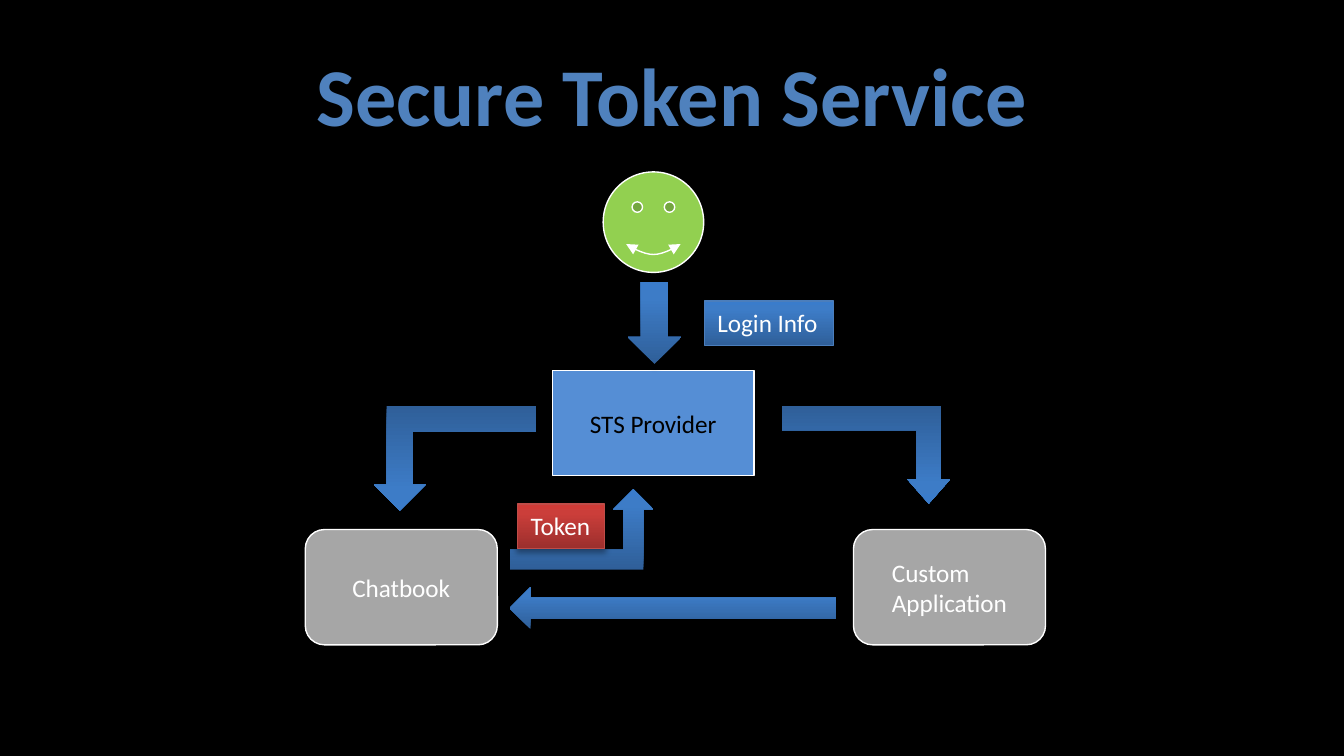
from dataclasses import dataclass

from pptx import Presentation
from pptx.dml.color import RGBColor
from pptx.enum.shapes import MSO_SHAPE
from pptx.enum.text import MSO_ANCHOR, MSO_AUTO_SIZE, PP_ALIGN
from pptx.oxml import parse_xml
from pptx.oxml.ns import nsdecls, qn
from pptx.util import Cm, Pt


@dataclass(frozen=True)
class Theme:
    font: str = "Calibri"
    title_size: float = 44
    body_size: float = 13.5
    line_width: float = 0.75
    background: str = "000000"
    title: str = "4F81BD"
    light: str = "FFFFFF"
    dark: str = "000000"
    user: str = "92D050"
    provider: str = "558ED5"
    app: str = "A6A6A6"
    blue_edge: str = "4B7EBC"
    red_edge: str = "BF4C48"
    # Gradient colours at 0, 80 and 100 percent, running upwards
    blue: tuple = ("2F5F99", "3D7CC7", "3A7CCB")
    red: tuple = ("9C2F2D", "CB3E3A", "CE3B37")


class Diagram:
    def __init__(self, slide, theme):
        self.s = slide
        self.theme = theme
        fill = slide.background.fill
        fill.solid()
        fill.fore_color.rgb = RGBColor.from_string(theme.background)

    def shape(self, kind, box, line=None):
        sp = self.s.shapes.add_shape(kind, *map(Cm, box))
        sp.shadow.inherit = False
        if line:
            sp.line.color.rgb = RGBColor.from_string(line)
            sp.line.width = Pt(self.theme.line_width)
        else:
            sp.line.fill.background()
        return sp

    def flat(self, kind, box, color):
        sp = self.shape(kind, box, self.theme.light)
        sp.fill.solid()
        sp.fill.fore_color.rgb = RGBColor.from_string(color)
        return sp

    def glossy(self, kind, box, colors, line=None):
        sp = self.shape(kind, box, line)
        sp.fill.gradient()
        sp.fill.gradient_angle = 90
        stops = sp.element.spPr.find(qn("a:gradFill")).find(qn("a:gsLst"))
        for stop in list(stops):
            stops.remove(stop)
        for percent, color in zip((0, 80, 100), colors):
            stops.append(parse_xml(
                f'<a:gs {nsdecls("a")} pos="{percent * 1000}">'
                f'<a:srgbClr val="{color}"/></a:gs>'))
        sp.element.spPr.find(qn("a:effectLst")).append(parse_xml(
            f'<a:outerShdw {nsdecls("a")} blurRad="{Pt(3.1)}" dist="{Pt(1.8)}"'
            ' dir="5400000" rotWithShape="0"><a:srgbClr val="000000">'
            '<a:alpha val="35000"/></a:srgbClr></a:outerShdw>'))
        return sp

    def text(self, sp, text, color, size, bold=False, align=PP_ALIGN.LEFT):
        p = sp.text_frame.paragraphs[0]
        p.alignment = align
        r = p.add_run()
        r.text = text
        r.font.name = self.theme.font
        r.font.size = Pt(size)
        r.font.bold = bold
        r.font.color.rgb = RGBColor.from_string(color)

    def title(self, text, box):
        sp = self.s.shapes.add_textbox(*map(Cm, box))
        tf = sp.text_frame
        tf.word_wrap = True
        tf.vertical_anchor = MSO_ANCHOR.MIDDLE
        self.text(sp, text, self.theme.title, self.theme.title_size, True,
                  PP_ALIGN.CENTER)

    def user(self, box):
        sp = self.flat(MSO_SHAPE.SMILEY_FACE, box, self.theme.user)
        ln = sp.element.spPr.find(qn("a:ln"))
        for end in ("headEnd", "tailEnd"):
            ln.append(parse_xml(f'<a:{end} {nsdecls("a")} type="triangle"/>'))

    def node(self, kind, text, box, fill, color):
        sp = self.flat(kind, box, fill)
        tf = sp.text_frame
        tf.word_wrap = True
        tf.vertical_anchor = MSO_ANCHOR.MIDDLE
        tf.margin_left = tf.margin_right = Cm(0.19)
        tf.margin_top = tf.margin_bottom = Cm(0.1)
        # Centre the block while its lines stay left-aligned
        sp.element.txBody.bodyPr.set("anchorCtr", "1")
        self.text(sp, text, color, self.theme.body_size)

    def label(self, text, box, colors, edge):
        sp = self.glossy(MSO_SHAPE.RECTANGLE, box, colors, edge)
        tf = sp.text_frame
        tf.word_wrap = False
        tf.auto_size = MSO_AUTO_SIZE.SHAPE_TO_FIT_TEXT
        tf.vertical_anchor = MSO_ANCHOR.TOP
        self.text(sp, text, self.theme.light, self.theme.body_size)

    def arrow(self, kind, box, rotation=0, flip=False, adjust=()):
        sp = self.glossy(kind, box, self.theme.blue)
        sp.rotation = rotation
        if flip:
            sp.element.spPr.find(qn("a:xfrm")).set("flipH", "1")
        for i, value in enumerate(adjust):
            sp.adjustments[i] = value


def main():
    prs = Presentation()
    prs.slide_width, prs.slide_height = Cm(25.4), Cm(14.29)
    theme = Theme()
    d = Diagram(prs.slides.add_slide(prs.slide_layouts[6]), theme)

    # User, provider and the two applications
    d.user((11.4, 3.25, 1.9, 1.9))
    d.node(MSO_SHAPE.RECTANGLE, "STS Provider", (10.44, 7.01, 3.81, 1.98),
           theme.provider, theme.dark)
    for text, left in (("Chatbook", 5.77), ("Custom Application", 16.13)):
        d.node(MSO_SHAPE.ROUNDED_RECTANGLE, text, (left, 10.01, 3.63, 2.18),
               theme.app, theme.light)

    # Login step
    d.arrow(MSO_SHAPE.DOWN_ARROW, (11.86, 5.33, 1.02, 1.55))
    d.label("Login Info", (13.31, 5.69, 2.44, 0.84), theme.blue, theme.blue_edge)

    # Token exchange
    bent = MSO_SHAPE.BENT_UP_ARROW
    d.arrow(bent, (7.06, 7.67, 3.07, 1.98), rotation=180)
    d.arrow(bent, (9.63, 9.25, 2.72, 1.52))
    d.label("Token", (9.78, 9.53, 1.65, 0.84), theme.red, theme.red_edge)
    d.arrow(bent, (14.78, 7.67, 3.18, 1.85), rotation=180, flip=True,
            adjust=(0.25, 0.22, 0.25))
    d.arrow(MSO_SHAPE.LEFT_ARROW, (9.63, 11.1, 6.17, 0.79))

    # Title
    d.title("Secure Token Service", (1.27, 0.58, 22.86, 2.39))

    prs.save("out.pptx")


if __name__ == "__main__":
    main()
